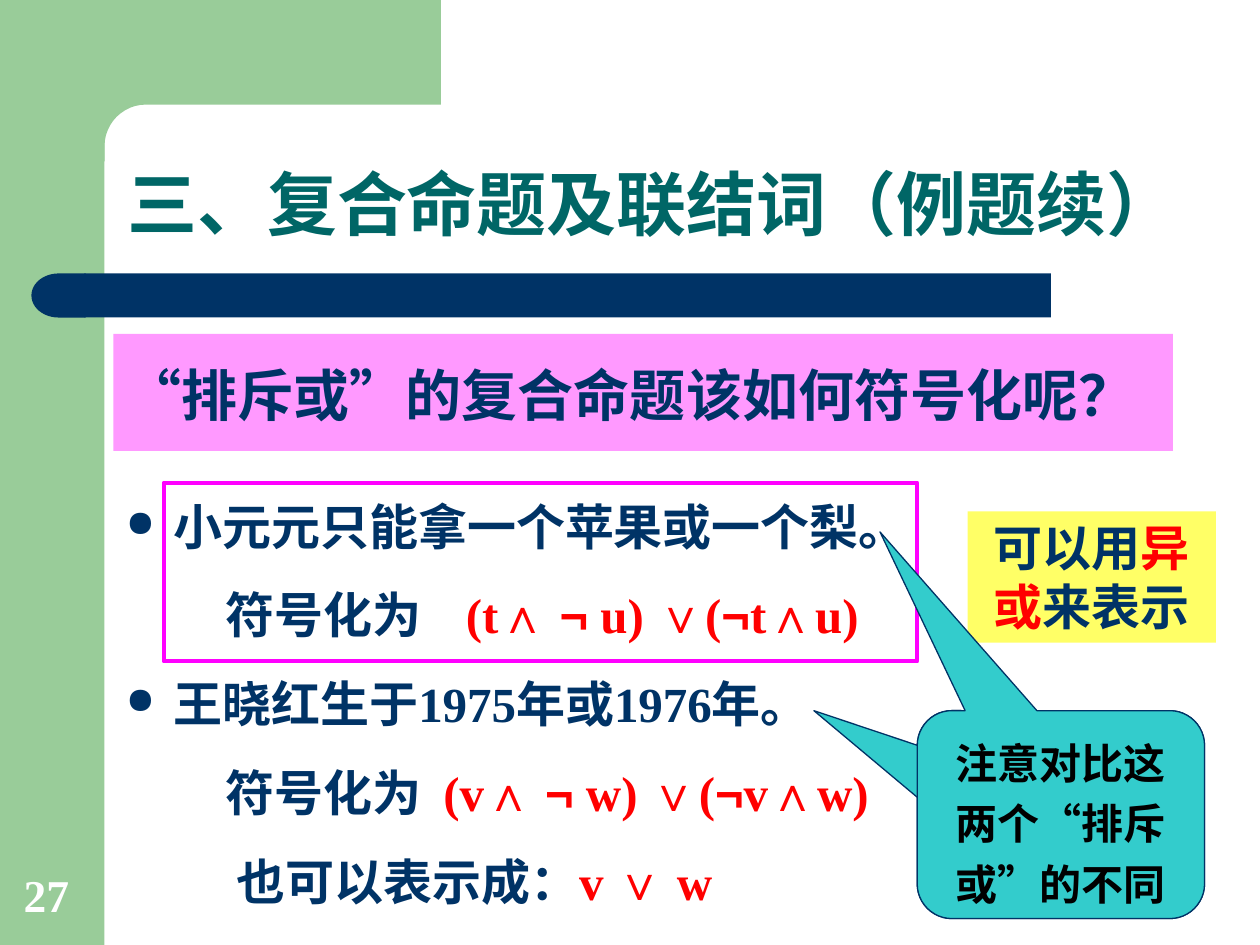
from math import cos, pi, sin

from lxml.etree import SubElement
from pptx import Presentation
from pptx.dml.color import RGBColor
from pptx.enum.shapes import MSO_SHAPE as SHAPE
from pptx.enum.text import MSO_ANCHOR as ANCHOR, PP_ALIGN as ALIGN
from pptx.oxml.ns import qn
from pptx.util import Inches, Pt

GREEN, NAVY, TEAL, RED = "99CC99", "003366", "006666", "FF0000"
MAGENTA, PINK, YELLOW, CYAN = "FF00FF", "FF99FF", "FFFF66", "33CCCC"
SERIF, SANS = "Times New Roman", "Arial"

prs = Presentation()
prs.slide_width, prs.slide_height = Inches(10), Inches(7.5)
slide = prs.slides.add_slide(prs.slide_layouts[5])
shapes = slide.shapes


def paint(shape, fill=None, line=None, width=0.75):
    """Set fill and line from hex strings; None leaves the part empty."""
    shape.shadow.inherit = False
    if fill:
        shape.fill.solid()
        shape.fill.fore_color.rgb = RGBColor.from_string(fill)
    else:
        shape.fill.background()
    if line:
        shape.line.color.rgb = RGBColor.from_string(line)
        shape.line.width = Pt(width)
    else:
        shape.line.fill.background()


def write(paragraph, parts, size, font):
    """Add bold runs from (text, colour) pairs; the negation sign is in Arial."""
    for text, colour in parts:
        for piece in text.replace("¬", "|¬|").split("|"):
            if piece:
                run = paragraph.add_run()
                run.text = piece
                run.font.size, run.font.bold = Pt(size), True
                run.font.name = SANS if piece == "¬" else font
                run.font.color.rgb = RGBColor.from_string(colour)


# Green side band and its rounded inner corner
band = shapes.add_shape(SHAPE.RECTANGLE, 0, 0, Inches(0.83), Inches(7.5))
paint(band, GREEN)
radius, centre = 0.33, 1.16
arc = [(centre - radius * sin(step * pi / 24), centre - radius * cos(step * pi / 24))
       for step in range(13)]
outline = [(3.5, 0), (3.5, 0.83), *arc, (0.83, 1.28), (0.5, 1.28)]
corner = shapes.build_freeform(Inches(0.5), 0)
corner.add_line_segments([(Inches(x), Inches(y)) for x, y in outline])
paint(corner.convert_to_shape(), GREEN)

# Navy bar with a round left end
bar = shapes.add_shape(SHAPE.RECTANGLE, Inches(0.67), Inches(2.17), Inches(7.67), Inches(0.35))
paint(bar, NAVY)
bar_end = shapes.add_shape(SHAPE.FLOWCHART_DELAY, Inches(0.25), Inches(2.17),
                           Inches(0.43), Inches(0.35))
bar_end._element.spPr.get_or_add_xfrm().set("flipH", "1")
paint(bar_end, NAVY)

# Title
title = shapes.title
title.left, title.top, title.width, title.height = (
    Inches(0.91), Inches(0.91), Inches(8.73), Inches(1.09))
title.text_frame.vertical_anchor = ANCHOR.BOTTOM
heading = title.text_frame.paragraphs[0]
heading.alignment, heading.line_spacing = ALIGN.LEFT, 0.9
write(heading, [("三、复合命题及联结词（例题续）", TEAL)], 40, SANS)

# Question
question = shapes.add_shape(SHAPE.RECTANGLE, Inches(0.9), Inches(2.65), Inches(8.41), Inches(0.93))
paint(question, PINK)
question.text_frame.vertical_anchor = ANCHOR.TOP
asked = question.text_frame.paragraphs[0]
asked.alignment, asked.line_spacing = ALIGN.LEFT, 1.3
write(asked, [("“排斥或”的复合命题该如何符号化呢？", NAVY)], 32, SERIF)

# Examples: bulleted propositions, and formulas placed by tab stops
examples = [
    ([("小元元只能拿一个苹果或一个梨。", NAVY)], []),
    ([("\t符号化为\t", NAVY), ("(t∧ ¬ u) ∨(¬t∧u)", RED)], [0.79, 2.7]),
    ([("王晓红生于1975年或1976年。", NAVY)], []),
    ([("\t符号化为\t", NAVY), ("(v∧ ¬ w) ∨(¬v∧w)", RED)], [0.79, 2.52]),
    ([("\t也可以表示成：", NAVY), ("v ∨ w", RED)], [0.88]),
]
example_box = shapes.add_textbox(Inches(0.9), Inches(3.75), Inches(8.43), Inches(3.53))
example_box.text_frame.word_wrap = True
for number, (parts, stops) in enumerate(examples):
    paragraph = (example_box.text_frame.add_paragraph() if number
                 else example_box.text_frame.paragraphs[0])
    paragraph.line_spacing = 1.3
    if number:
        paragraph.space_before = Pt(7)
    props = paragraph._p.get_or_add_pPr()
    if stops:
        tabs = SubElement(props, qn("a:tabLst"))
        for stop in stops:
            SubElement(tabs, qn("a:tab"), pos=str(Inches(stop)), algn="l")
    else:
        props.set("marL", str(Inches(0.38)))
        props.set("indent", str(-Inches(0.38)))
        bullet_colour = SubElement(props, qn("a:buClr"))
        SubElement(bullet_colour, qn("a:srgbClr"), val=NAVY)
        SubElement(props, qn("a:buSzPct"), val="75000")
        SubElement(props, qn("a:buChar"), char="●")
    write(paragraph, parts, 28, SERIF)

# Frame around the first example
frame = shapes.add_shape(SHAPE.RECTANGLE, Inches(1.3), Inches(3.83), Inches(5.98), Inches(1.42))
paint(frame, line=MAGENTA, width=2.25)

# Hint
hint = shapes.add_shape(SHAPE.RECTANGLE, Inches(7.68), Inches(4.06), Inches(1.97), Inches(1.04))
paint(hint, YELLOW)
hint.text_frame.vertical_anchor = ANCHOR.TOP
advice = hint.text_frame.paragraphs[0]
advice.alignment = ALIGN.CENTER
write(advice, [("可以用", NAVY), ("异或", RED), ("来表示", NAVY)], 28, SANS)

# Two stacked callouts, one pointer to each example; the front one has the text
for pointer in [(-0.86, -0.5), (-0.63, -1.36)]:
    callout = shapes.add_shape(SHAPE.ROUNDED_RECTANGULAR_CALLOUT, Inches(7.28), Inches(5.64),
                               Inches(2.28), Inches(1.65))
    callout.adjustments[0], callout.adjustments[1] = pointer
    paint(callout, CYAN, NAVY)
callout.text_frame.vertical_anchor = ANCHOR.TOP
remark = callout.text_frame.paragraphs[0]
remark.alignment, remark.line_spacing = ALIGN.CENTER, 1.2
write(remark, [("注意对比这两个“排斥或”的不同", "000000")], 24, SANS)

# Page number
page = shapes.add_textbox(Inches(0.09), Inches(6.83), Inches(0.64), Inches(0.53))
page.text_frame.word_wrap = True
page.text_frame.vertical_anchor = ANCHOR.BOTTOM
write(page.text_frame.paragraphs[0], [("27", "FFFFFF")], 26, SERIF)

prs.save("out.pptx")
